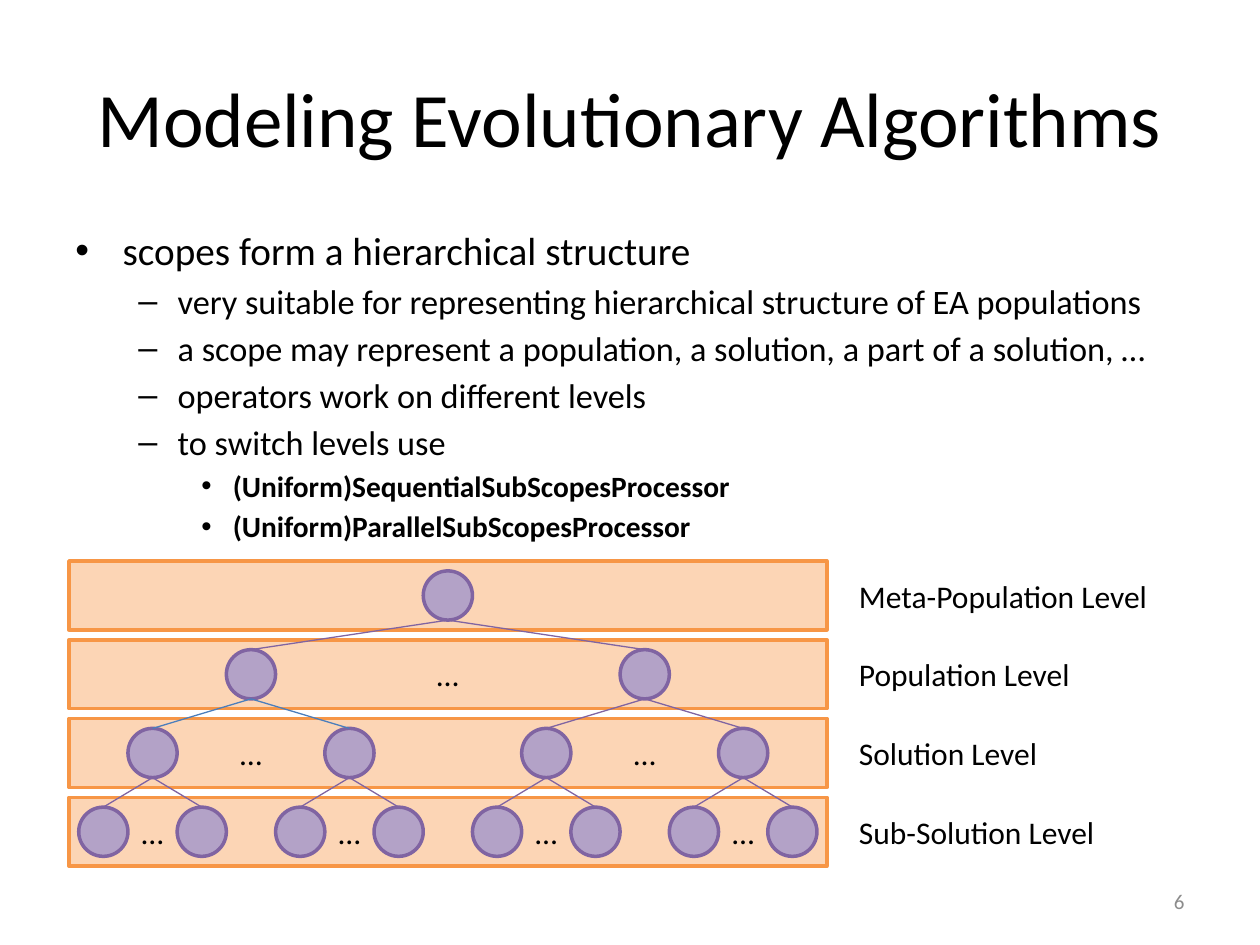
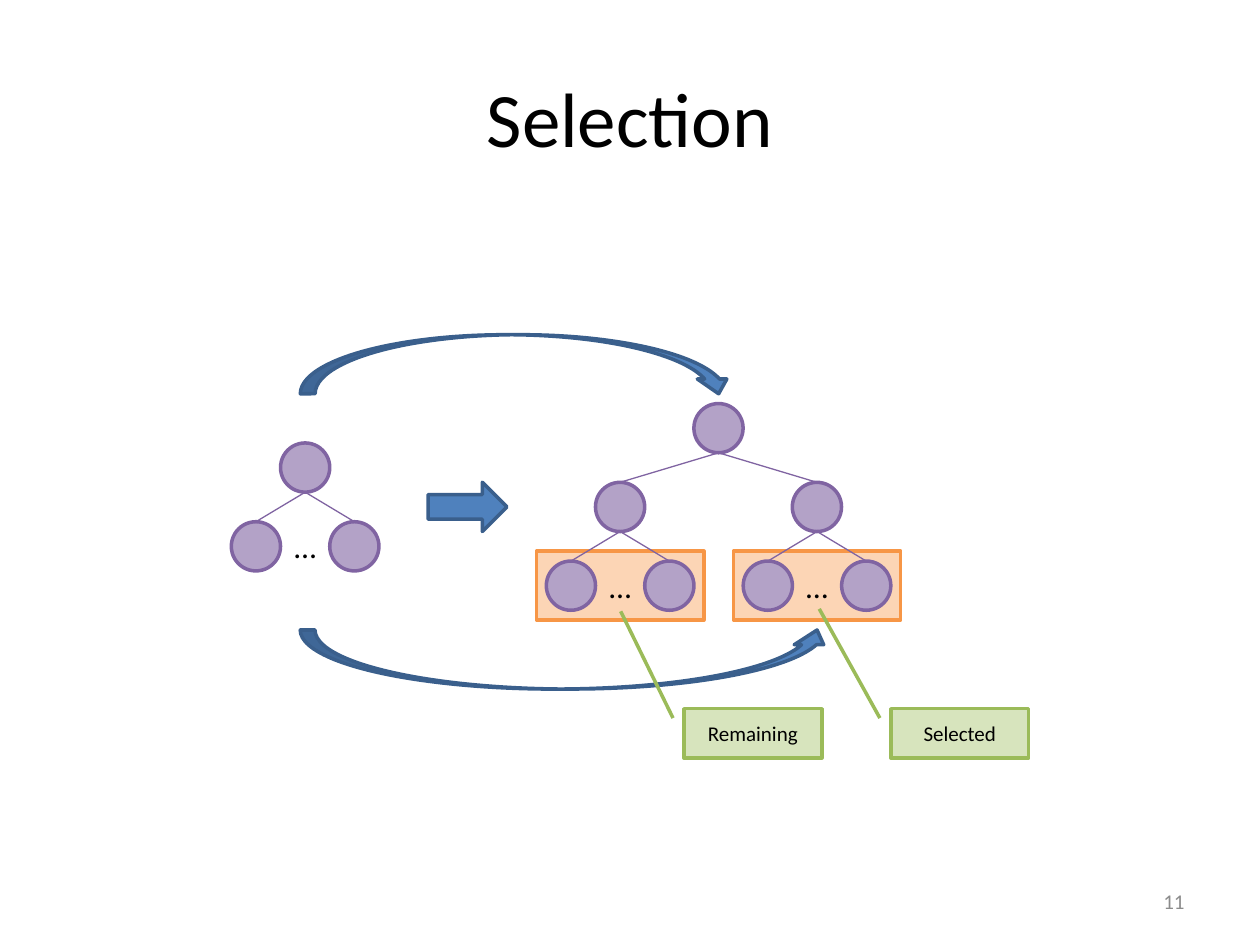
"""Build two slides on scope trees in evolutionary algorithms."""
import pptx
import pptx.util
import pptx.dml.color
import pptx.enum.shapes
import pptx.enum.text
import pptx.oxml.ns
from lxml import etree

Pt = pptx.util.Pt
RGB = pptx.dml.color.RGBColor
KIND = pptx.enum.shapes.MSO_SHAPE
ALIGN = pptx.enum.text.PP_ALIGN
MIDDLE = pptx.enum.text.MSO_ANCHOR.MIDDLE
qn = pptx.oxml.ns.qn

BLACK = RGB(0x00, 0x00, 0x00)
GREY = RGB(0x8C, 0x8C, 0x8C)
PEACH = RGB(0xFC, 0xD5, 0xB5)
ORANGE = RGB(0xF7, 0x96, 0x46)
LILAC = RGB(0xB3, 0xA2, 0xC7)
PURPLE = RGB(0x80, 0x64, 0xA2)
SKY = RGB(0x4B, 0x7E, 0xBC)
BLUE = RGB(0x4F, 0x81, 0xBD)
NAVY = RGB(0x3A, 0x5F, 0x8C)
MINT = RGB(0xD7, 0xE4, 0xBD)
GREEN = RGB(0x9B, 0xBB, 0x59)
FONT = "Calibri"

NODE = 28.12
STEP = 45
BAND = 39.4


def draw(slide, kind, left, top, wide, high, fill, line):
    shape = slide.shapes.add_shape(kind, Pt(left), Pt(top), Pt(wide), Pt(high))
    shape.shadow.inherit = False
    shape.fill.solid()
    shape.fill.fore_color.rgb = fill
    shape.line.color.rgb = line
    shape.line.width = Pt(2)
    return shape


def write(frame, text, size, align, color=BLACK):
    frame.word_wrap = True
    frame.vertical_anchor = MIDDLE
    para = frame.paragraphs[0]
    para.alignment = align
    run = para.add_run()
    run.text = text
    run.font.name = FONT
    run.font.size = Pt(size)
    run.font.color.rgb = color


deck = pptx.Presentation()
deck.slide_width = Pt(720)
deck.slide_height = Pt(540)
model, select = [deck.slides.add_slide(deck.slide_layouts[6]) for _ in range(2)]

heads = [(model, "Modeling Evolutionary Algorithms", "6"), (select, "Selection", "11")]
for slide, title, number in heads:
    box = slide.shapes.add_textbox(Pt(36), Pt(21.6), Pt(648), Pt(90))
    write(box.text_frame, title, 44, ALIGN.CENTER)
    box = slide.shapes.add_textbox(Pt(516), Pt(500.5), Pt(168), Pt(28.75))
    write(box.text_frame, number, 12, ALIGN.RIGHT, GREY)

styles = [(27, 27, "•", 22.4), (58.5, 22.5, "–", 19.6), (90, 18, "•", 16.8)]
points = [
    (0, "scopes form a hierarchical structure"),
    (1, "very suitable for representing hierarchical structure of EA populations"),
    (1, "a scope may represent a population, a solution, a part of a solution, …"),
    (1, "operators work on different levels"),
    (1, "to switch levels use"),
    (2, "(Uniform)SequentialSubScopesProcessor"),
    (2, "(Uniform)ParallelSubScopesProcessor"),
]
body = model.shapes.add_textbox(Pt(36), Pt(126), Pt(648), Pt(172)).text_frame
body.word_wrap = True
for index, (level, text) in enumerate(points):
    margin, hang, mark, size = styles[level]
    para = body.add_paragraph() if index else body.paragraphs[0]
    para.level = level
    para.space_before = Pt(round(size * 0.18, 1))
    props = para._p.get_or_add_pPr()
    props.set("marL", str(Pt(margin)))
    props.set("indent", str(-Pt(hang)))
    etree.SubElement(props, qn("a:buFont")).set("typeface", "Arial")
    etree.SubElement(props, qn("a:buChar")).set("char", mark)
    run = para.add_run()
    run.text = text
    run.font.name = FONT
    run.font.size = Pt(size)
    run.font.bold = level == 2
    run.font.color.rgb = BLACK

labels = ["Meta-Population Level", "Population Level", "Solution Level", "Sub-Solution Level"]
for row, label in enumerate(labels):
    top = 320.6 + row * STEP
    draw(model, KIND.RECTANGLE, 39.4, top, 433.1, BAND, PEACH, ORANGE)
    box = model.shapes.add_textbox(Pt(483.75), Pt(top), Pt(196.9), Pt(BAND))
    write(box.text_frame, label, 18, ALIGN.LEFT)

for mid in (354.4, 466.9):
    draw(select, KIND.RECTANGLE, mid - 47.8, 315, 95.6, BAND, PEACH, ORANGE)

roots = [(model, 255.94, 340.3), (select, 174.4, 267.2), (select, 410.6, 244.7)]
forks = [(model, 255.94, 340.3, 112.5, PURPLE, True)]
for side, ink in ((-1, SKY), (1, PURPLE)):
    mid = 255.94 + side * 112.5
    forks.append((model, mid, 340.3 + STEP, 56.25, ink, True))
    for turn in (-1, 1):
        forks.append((model, mid + turn * 56.25, 340.3 + 2 * STEP, 28.12, PURPLE, True))
forks += [
    (select, 174.4, 267.2, 28.12, PURPLE, True),
    (select, 410.6, 244.7, 56.25, PURPLE, False),
    (select, 354.4, 289.7, 28.12, PURPLE, True),
    (select, 466.9, 289.7, 28.12, PURPLE, True),
]
nodes = roots + [
    (slide, x + side * half, y + STEP)
    for slide, x, y, half, ink, dots in forks
    for side in (-1, 1)
]
for slide, x, y in nodes:
    draw(slide, KIND.OVAL, x - NODE / 2, y - NODE / 2, NODE, NODE, LILAC, PURPLE)

for slide, x, y, half, ink, dots in forks:
    for side in (-1, 1):
        line = slide.shapes.add_connector(
            pptx.enum.shapes.MSO_CONNECTOR.STRAIGHT,
            Pt(x), Pt(y + NODE / 2), Pt(x + side * half), Pt(y + STEP - NODE / 2))
        line.line.color.rgb = ink
        line.line.width = Pt(0.75)
        etree.SubElement(line._element.spPr, qn("a:effectLst"))
    if dots:
        box = slide.shapes.add_textbox(
            Pt(x - NODE / 2), Pt(y + STEP - NODE / 2), Pt(NODE), Pt(NODE))
        box.text_frame.margin_left = box.text_frame.margin_right = 0
        write(box.text_frame, "…", 18, ALIGN.CENTER)

arrows = [
    (KIND.RIGHT_ARROW, 244.7, 275.6, 45, NODE),
    (KIND.CURVED_DOWN_ARROW, 171.6, 191.25, 247.5, 33.75),
    (KIND.CURVED_UP_ARROW, 171.6, 360, 303.75, 33.75),
]
for kind, left, top, wide, high in arrows:
    draw(select, kind, left, top, wide, high, BLUE, NAVY)

notes = [("Remaining", 390.9, -1.98, -0.46), ("Selected", 509.1, -2.03, -0.52)]
for text, left, rise, shift in notes:
    note = draw(select, KIND.LINE_CALLOUT_1, left, 405, 78.75, NODE, MINT, GREEN)
    for index, value in enumerate((0.19, -0.08, rise, shift)):
        note.adjustments[index] = value
    write(note.text_frame, text, 12, ALIGN.CENTER)

deck.save("out.pptx")
